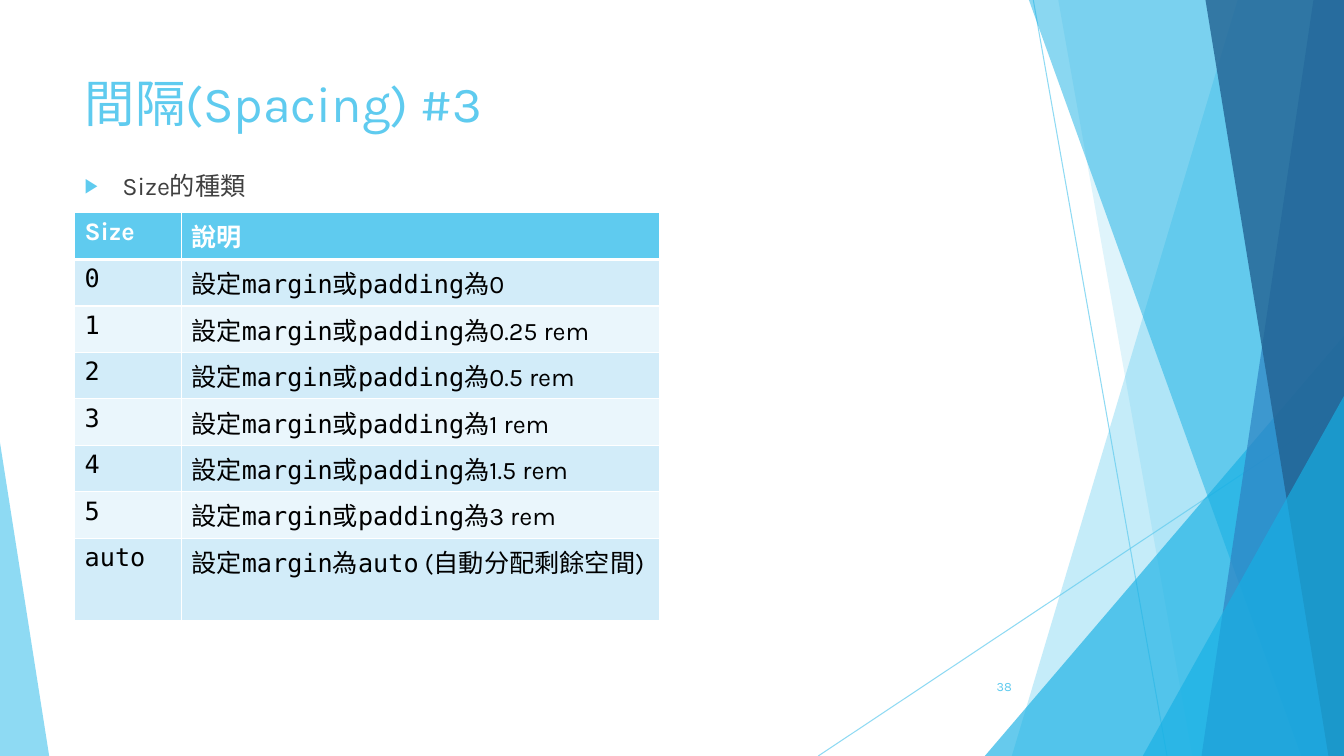
from dataclasses import dataclass
from typing import Any, NamedTuple

import lxml.etree
import pptx
import pptx.dml.color
import pptx.enum.shapes
import pptx.enum.text
import pptx.oxml.ns
import pptx.util

Cm = pptx.util.Cm
Pt = pptx.util.Pt
PP_ALIGN = pptx.enum.text.PP_ALIGN
MSO_ANCHOR = pptx.enum.text.MSO_ANCHOR
qn = pptx.oxml.ns.qn


@dataclass(frozen=True)
class Theme:
    sky: str = "5FCBEF"
    cyan: str = "17B0E4"
    blue: str = "2E83C3"
    navy: str = "226292"
    body: str = "404040"
    black: str = "000000"
    white: str = "FFFFFF"
    row_tints: tuple[str, str] = ("D2ECF9", "EAF6FC")
    sans: str = "Karla"
    mono: str = "DejaVu Sans Mono"
    title_pt: int = 36
    text_pt: int = 18
    number_pt: int = 9


class Ray(NamedTuple):
    start: tuple[float, float]
    end: tuple[float, float]


class Band(NamedTuple):
    """A full-height facet that reaches the right edge."""
    top_x: float
    bottom_x: float
    color: str
    opacity: int


class Wedge(NamedTuple):
    """A triangle that stands on the bottom edge."""
    left: float
    top: float
    width: float
    apex: float
    color: str
    opacity: int


class Span(NamedTuple):
    text: str
    code: bool = False


THEME = Theme()
WIDTH, HEIGHT = 33.87, 19.05

RAYS = [Ray((26.04, 0), (29.41, HEIGHT)), Ray((WIDTH, 10.24), (20.62, HEIGHT))]
FACETS = [
    Band(31.19, 25.5, THEME.sky, 36),
    Band(26.67, 30.05, THEME.sky, 20),
    Wedge(24.82, 8.46, 9.05, 1, THEME.cyan, 66),
    Band(25.93, 32.79, THEME.cyan, 50),
    Band(33.1, 30.28, THEME.blue, 70),
    Band(30.38, 33.48, THEME.navy, 80),
    Wedge(28.8, 9.98, 5.07, 1, THEME.cyan, 66),
    Wedge(0, 11.15, 1.24, 0, THEME.sky, 70),
]

SIZES = {"0": "0", "1": "0.25 rem", "2": "0.5 rem", "3": "1 rem", "4": "1.5 rem", "5": "3 rem"}
MARGIN, PADDING = Span("margin", True), Span("padding", True)
ROWS = [
    ([Span("Size")], [Span("說明")]),
    *(([Span(size, True)], [Span("設定"), MARGIN, Span("或"), PADDING, Span(f"為{amount}")])
      for size, amount in SIZES.items()),
    ([Span("auto", True)],
     [Span("設定"), MARGIN, Span("為"), Span("auto", True), Span(" (自動分配剩餘空間)")]),
]
COLUMN_WIDTHS = (2.69, 12.04)
# The last row holds two lines
ROW_HEIGHTS = [1.18] + [1.17] * len(SIZES) + [2.07]


def rgb(color: str) -> pptx.dml.color.RGBColor:
    return pptx.dml.color.RGBColor.from_string(color)


def set_opacity(fill_parent: Any, percent: int) -> None:
    color = fill_parent.find(".//" + qn("a:srgbClr"))
    lxml.etree.SubElement(color, qn("a:alpha"), val=str(percent * 1000))


def add_run(paragraph: Any, text: str, size: int, color: str,
            font: str = THEME.sans, bold: bool = False) -> None:
    run = paragraph.add_run()
    run.text = text
    run.font.name, run.font.size, run.font.bold = font, Pt(size), bold
    run.font.color.rgb = rgb(color)


def place(shape: Any, left: float, top: float, width: float, height: float) -> None:
    shape.left, shape.top = Cm(left), Cm(top)
    shape.width, shape.height = Cm(width), Cm(height)


def draw_ray(shapes: Any, ray: Ray) -> None:
    line = shapes.add_connector(pptx.enum.shapes.MSO_CONNECTOR.STRAIGHT,
                                *map(Cm, ray.start), *map(Cm, ray.end))
    line.line.color.rgb = rgb(THEME.sky)
    line.line.width = Pt(0.75)
    properties = line._element.spPr
    set_opacity(properties, 70)
    lxml.etree.SubElement(properties, qn("a:effectLst"))


def draw_facet(shapes: Any, facet: Band | Wedge) -> None:
    if isinstance(facet, Band):
        outline = shapes.build_freeform(Cm(facet.top_x), 0)
        corners = [(WIDTH, 0), (WIDTH, HEIGHT), (facet.bottom_x, HEIGHT)]
        outline.add_line_segments([(Cm(x), Cm(y)) for x, y in corners], close=True)
        shape = outline.convert_to_shape()
    else:
        shape = shapes.add_shape(
            pptx.enum.shapes.MSO_SHAPE.ISOSCELES_TRIANGLE, Cm(facet.left), Cm(facet.top),
            Cm(facet.width), Cm(HEIGHT - facet.top))
        shape.adjustments[0] = facet.apex
    shape.shadow.inherit = False
    shape.line.fill.background()
    shape.fill.solid()
    shape.fill.fore_color.rgb = rgb(facet.color)
    set_opacity(shape._element.spPr, facet.opacity)


def add_bullet(paragraph: Any) -> None:
    properties = paragraph._p.get_or_add_pPr()
    properties.set("marL", str(Cm(0.95)))
    properties.set("indent", str(Cm(-0.95)))
    color = lxml.etree.SubElement(properties, qn("a:buClr"))
    lxml.etree.SubElement(color, qn("a:srgbClr"), val=THEME.sky)
    lxml.etree.SubElement(properties, qn("a:buSzPct"), val="80000")
    lxml.etree.SubElement(properties, qn("a:buChar"), char="▶")


def style_cell(cell: Any, row: int) -> None:
    # Borders precede the fill in the cell properties
    properties = cell._tc.get_or_add_tcPr()
    widths = {"L": 1, "R": 1, "T": 3 if row == 1 else 1, "B": 3 if row == 0 else 1}
    for side, width in widths.items():
        border = lxml.etree.SubElement(properties, qn(f"a:ln{side}"), w=str(Pt(width)))
        fill = lxml.etree.SubElement(border, qn("a:solidFill"))
        lxml.etree.SubElement(fill, qn("a:srgbClr"), val=THEME.white)
    cell.fill.solid()
    cell.fill.fore_color.rgb = rgb(THEME.row_tints[(row - 1) % 2] if row else THEME.sky)


def draw_size_table(shapes: Any) -> None:
    table = shapes.add_table(len(ROWS), len(COLUMN_WIDTHS), Cm(1.88), Cm(5.36),
                             Cm(sum(COLUMN_WIDTHS)), Cm(sum(ROW_HEIGHTS))).table
    for column, width in zip(table.columns, COLUMN_WIDTHS):
        column.width = Cm(width)
    for index, (row, height) in enumerate(zip(ROWS, ROW_HEIGHTS)):
        table.rows[index].height = Cm(height)
        for column, spans in enumerate(row):
            cell = table.cell(index, column)
            style_cell(cell, index)
            for span in spans:
                add_run(cell.text_frame.paragraphs[0], span.text, THEME.text_pt,
                        THEME.black if index else THEME.white,
                        THEME.mono if span.code else THEME.sans, bold=index == 0)


def main() -> None:
    deck = pptx.Presentation()
    deck.slide_width, deck.slide_height = Cm(WIDTH), Cm(HEIGHT)
    slide = deck.slides.add_slide(deck.slide_layouts[1])
    shapes = slide.shapes
    heading, topic = shapes.title, slide.placeholders[1]

    # Faceted backdrop
    for ray in RAYS:
        draw_ray(shapes, ray)
    for facet in FACETS:
        draw_facet(shapes, facet)

    # Title and list, brought in front of the backdrop
    place(heading, 1.88, 1.7, 23.88, 3.66)
    place(topic, 1.88, 4.17, 23.88, 12.62)
    for holder in (heading, topic):
        holder._element.getparent().append(holder._element)
        holder.text_frame.auto_size = pptx.enum.text.MSO_AUTO_SIZE.NONE
        holder.text_frame.vertical_anchor = MSO_ANCHOR.TOP
        holder.text_frame.paragraphs[0].alignment = PP_ALIGN.LEFT
    add_run(heading.text_frame.paragraphs[0], "間隔(Spacing) #3", THEME.title_pt, THEME.sky)
    size_kinds = topic.text_frame.paragraphs[0]
    size_kinds.space_before = Pt(10)
    add_bullet(size_kinds)
    add_run(size_kinds, "Size的種類", THEME.text_pt, THEME.body)

    # Page number
    page_number = shapes.add_textbox(Cm(23.85), Cm(16.79), Cm(1.9), Cm(1.02)).text_frame
    page_number.word_wrap = True
    page_number.vertical_anchor = MSO_ANCHOR.MIDDLE
    page_number.paragraphs[0].alignment = PP_ALIGN.RIGHT
    add_run(page_number.paragraphs[0], "38", THEME.number_pt, THEME.sky)

    # Table of sizes
    draw_size_table(shapes)
    deck.save("out.pptx")


if __name__ == "__main__":
    main()
